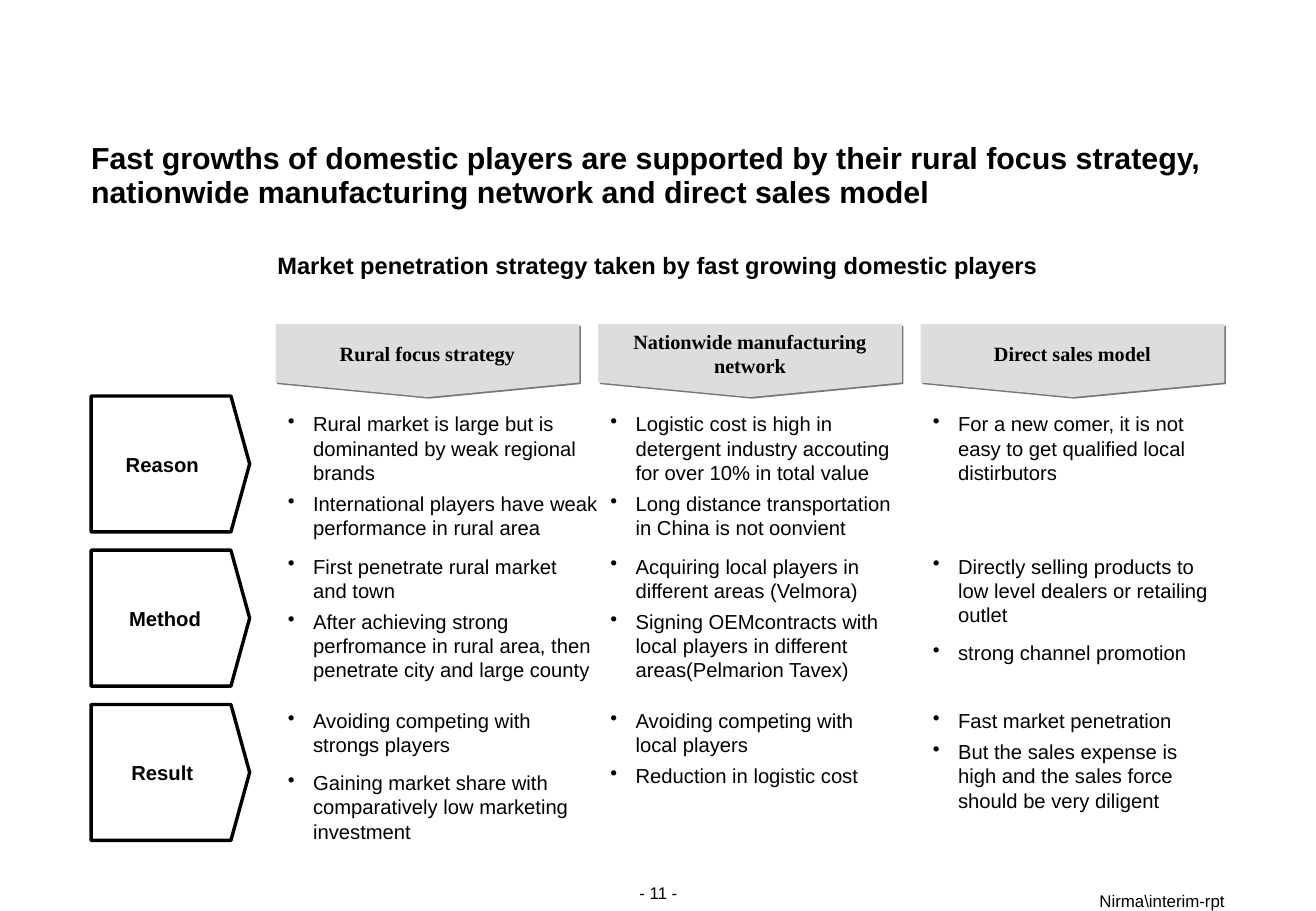
from dataclasses import dataclass

from lxml import etree
from pptx import Presentation
from pptx.dml.color import RGBColor
from pptx.enum.shapes import MSO_SHAPE
from pptx.enum.text import MSO_ANCHOR, PP_ALIGN
from pptx.oxml.ns import qn
from pptx.util import Pt


@dataclass(frozen=True)
class Theme:
    ink: str = "000000"
    header_fill: str = "DDDDDD"
    header_shadow: str = "777777"
    sans: str = "Arial"
    serif: str = "Times New Roman"
    title: int = 18
    subtitle: int = 14
    body: int = 12
    footer: int = 10


T = Theme()
CENTER, RIGHT = PP_ALIGN.CENTER, PP_ALIGN.RIGHT
MIDDLE, BOTTOM = MSO_ANCHOR.MIDDLE, MSO_ANCHOR.BOTTOM


def write(sp, texts, size, bold=False, font=T.sans, align=PP_ALIGN.LEFT,
          anchor=MSO_ANCHOR.TOP, leading=None, gap=0, bullet=False, inset_right=0):
    """Fill a shape with one paragraph per text; gap separates the paragraphs."""
    tf = sp.text_frame
    tf.word_wrap = True
    tf.vertical_anchor = anchor
    tf.margin_left = tf.margin_top = tf.margin_bottom = 0
    tf.margin_right = Pt(inset_right)
    for i, text in enumerate(texts):
        p = tf.add_paragraph() if i else tf.paragraphs[0]
        if bullet:
            pPr = p._p.get_or_add_pPr()
            pPr.set("marL", str(Pt(15)))
            pPr.set("indent", str(-Pt(15)))
            color = etree.SubElement(pPr, qn("a:buClr"))
            etree.SubElement(color, qn("a:srgbClr"), val=T.ink)
            etree.SubElement(pPr, qn("a:buChar"), char="•")
        p.alignment = align
        if leading:
            p.line_spacing = Pt(leading)
        if i:
            p.space_before = Pt(gap)
        r = p.add_run()
        r.text = text
        r.font.name, r.font.size, r.font.bold = font, Pt(size), bold
        r.font.color.rgb = RGBColor.from_string(T.ink)


def text_box(left, top, width, height, texts, size, **style):
    sp = s.shapes.add_textbox(Pt(left), Pt(top), Pt(width), Pt(height))
    write(sp, texts, size, **style)


prs = Presentation()
prs.slide_width, prs.slide_height = Pt(780), Pt(540)
s = prs.slides.add_slide(prs.slide_layouts[6])

LEFT, CONTENT_W = 54, 671.8
text_box(LEFT, 84.2, CONTENT_W, 48,
         ["Fast growths of domestic players are supported by their rural focus strategy, "
          "nationwide manufacturing network and direct sales model"],
         T.title, bold=True, leading=20)
text_box(LEFT, 149.8, CONTENT_W, 16,
         ["Market penetration strategy taken by fast growing domestic players"],
         T.subtitle, bold=True, align=CENTER, leading=16)

# Column headers
COL_LEFT, COL_PITCH = 163.4, 191.15
headers = ["Rural focus strategy", "Nationwide manufacturing network", "Direct sales model"]
for col, header in enumerate(headers):
    sp = s.shapes.add_shape(MSO_SHAPE.FLOWCHART_OFFPAGE_CONNECTOR,
                            Pt(COL_LEFT + col * COL_PITCH), Pt(192.2), Pt(180), Pt(43.2))
    sp.fill.solid()
    sp.fill.fore_color.rgb = RGBColor.from_string(T.header_fill)
    sp.line.fill.background()
    sp.shadow.inherit = False
    effects = sp._element.spPr.find(qn("a:effectLst"))
    shadow = etree.SubElement(effects, qn("a:outerShdw"), blurRad="0", dist=str(Pt(1.4)),
                              dir="2700000", algn="ctr", rotWithShape="0")
    etree.SubElement(shadow, qn("a:srgbClr"), val=T.header_shadow)
    write(sp, [header], T.body, bold=True, font=T.serif, align=CENTER, anchor=MIDDLE)

# Rows: label, top of bullets, then (width, paragraph gap, bullets) for each column
rows = [
    ("Reason ", 244.1, [
        (185.8, 4, ["Rural market is large but is dominanted by weak regional brands",
                    "International players have weak performance in rural area"]),
        (175.7, 4, ["Logistic cost is high in detergent industry accouting for over 10% "
                    "in total value",
                    "Long distance transportation in China is not oonvient"]),
        (176.4, 8, ["For a new comer, it is not easy to get qualified local distirbutors"]),
    ]),
    ("Method", 328.3, [
        (181.4, 4, ["First penetrate rural market and town",
                    "After achieving strong perfromance in rural area, then penetrate "
                    "city and large county"]),
        (166.3, 4, ["Acquiring local players in different areas (Velmora)",
                    "Signing OEMcontracts with local players in different "
                    "areas(Pelmarion Tavex)"]),
        (166.3, 8, ["Directly selling products to low level dealers or retailing outlet",
                    "strong channel promotion"]),
    ]),
    ("Result ", 419.8, [
        (181.4, 8, ["Avoiding competing with strongs players",
                    "Gaining market share with comparatively low marketing investment"]),
        (166.3, 4, ["Avoiding competing with local players",
                    "Reduction in logistic cost"]),
        (166.3, 4, ["Fast market penetration",
                    "But the sales expense is high and the sales force should be "
                    "very diligent"]),
    ]),
]
ROW_TOP, ROW_PITCH, ROW_H = 234.7, 91.44, 80.6
SHOULDER, TIP = 136.9, 148
for row, (label, bullets_top, cells) in enumerate(rows):
    top = ROW_TOP + row * ROW_PITCH
    outline = s.shapes.build_freeform(Pt(LEFT), Pt(top))
    outline.add_line_segments([(Pt(x), Pt(y)) for x, y in [
        (SHOULDER, top), (TIP, top + ROW_H / 2), (SHOULDER, top + ROW_H),
        (LEFT, top + ROW_H)]], close=True)
    sp = outline.convert_to_shape()
    sp.fill.background()
    sp.line.color.rgb = RGBColor.from_string(T.ink)
    sp.line.width = Pt(2)
    sp.shadow.inherit = False
    write(sp, [label], T.body, bold=True, align=CENTER, anchor=MIDDLE, inset_right=6.2)
    for col, (width, gap, bullets) in enumerate(cells):
        text_box(COL_LEFT + 7.2 + col * COL_PITCH, bullets_top, width, 76.3,
                 bullets, T.body, gap=gap, bullet=True)

# Footer
text_box(349.2, 523.4, 82, 12.2, ["- 11 -"], T.footer, align=CENTER)
text_box(478, 527.8, 247.8, 12.2, ["Nirma\\interim-rpt"], T.footer, align=RIGHT, anchor=BOTTOM)

prs.save("out.pptx")
